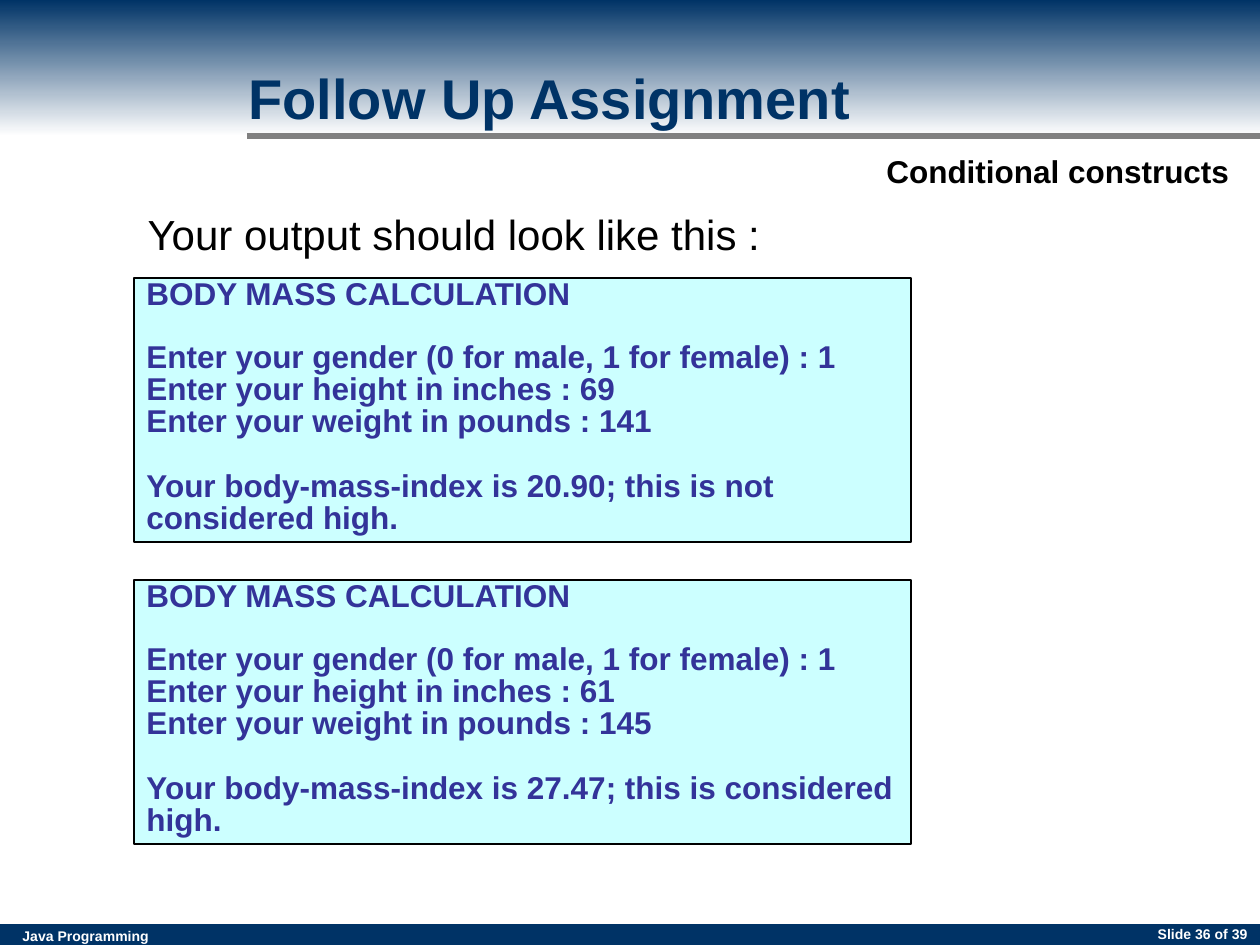
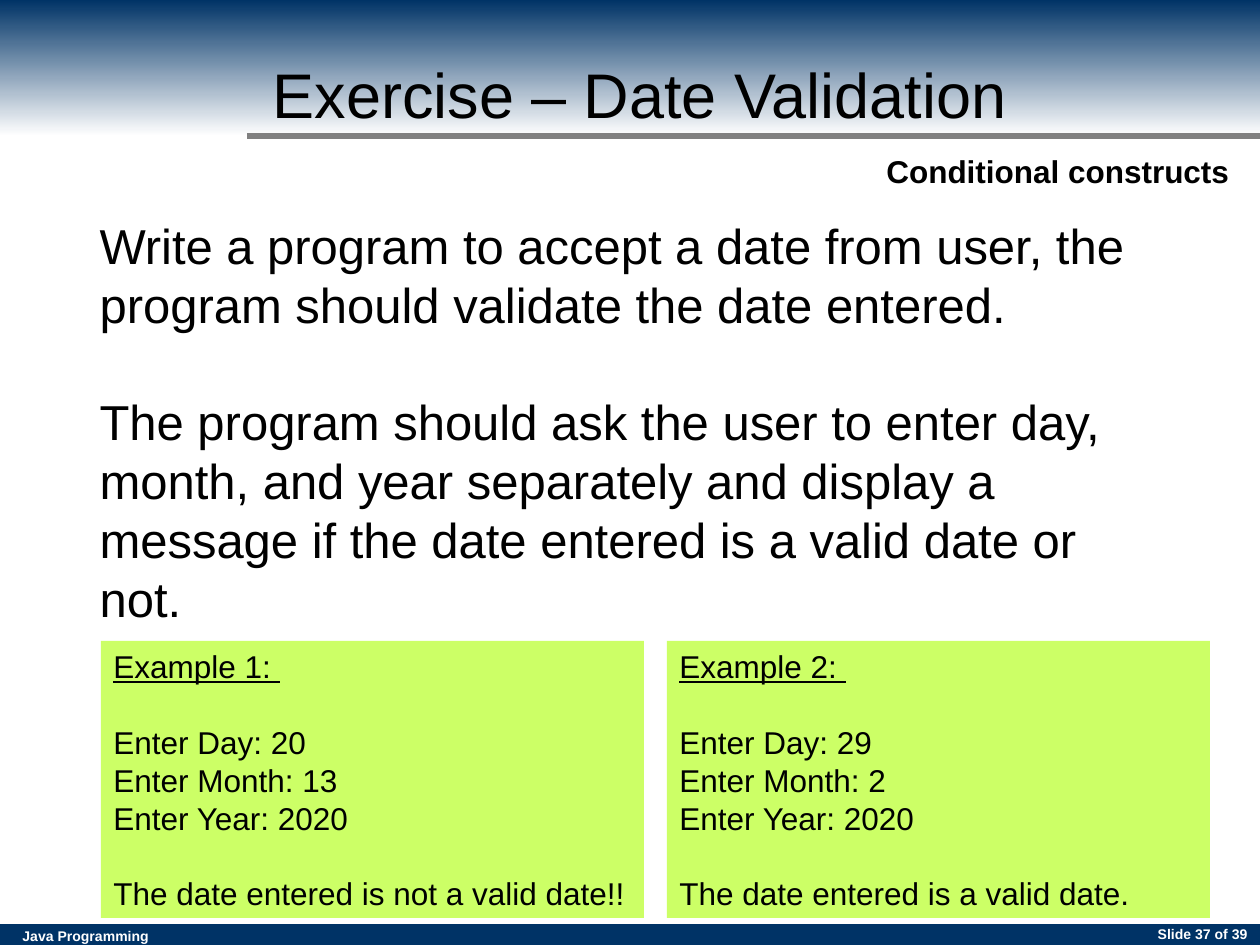
from dataclasses import dataclass

from lxml import etree
from pptx import Presentation
from pptx.dml.color import RGBColor
from pptx.enum.shapes import MSO_CONNECTOR, MSO_SHAPE
from pptx.enum.text import MSO_ANCHOR, MSO_AUTO_SIZE, PP_ALIGN
from pptx.oxml.ns import qn
from pptx.util import Emu, Pt

RECT = MSO_SHAPE.RECTANGLE
STRAIGHT = MSO_CONNECTOR.STRAIGHT
LEFT, RIGHT = PP_ALIGN.LEFT, PP_ALIGN.RIGHT
TOP = MSO_ANCHOR.TOP
NO_AUTOFIT = MSO_AUTO_SIZE.NONE

SLIDE_W, SLIDE_H = 1260, 945
TITLE_AND_CONTENT = 1
SLIDE_COUNT = 39


@dataclass(frozen=True)
class Theme:
    font: str = "Arial"
    navy: str = "003366"
    white: str = "FFFFFF"
    black: str = "000000"
    grey: str = "808080"
    indigo: str = "333399"
    cyan: str = "CCFFFF"
    lime: str = "CCFF66"
    footer: int = 8
    text: int = 18
    prompt: int = 24
    body: int = 28
    title: int = 32
    large_title: int = 36


THEME = Theme()


def px(n):
    return Emu(round(n * 914400 / 126))


def rgb(color):
    return RGBColor.from_string(color)


def place(sp, left, top, width, height):
    sp.left, sp.top, sp.width, sp.height = map(px, (left, top, width, height))


# Text
def write(sp, groups, size, color, bold=False, align=LEFT, wrap=True,
          gap=0, spacing=None):
    """Write groups of lines, with a gap in points between the groups."""
    tf = sp.text_frame
    tf.word_wrap = wrap
    tf.auto_size = NO_AUTOFIT
    tf.vertical_anchor = TOP
    tf.text = "\n".join(line for group in groups for line in group)
    starts = {sum(map(len, groups[:i])) for i in range(1, len(groups))}
    for i, p in enumerate(tf.paragraphs):
        p.alignment = align
        p.space_before = Pt(gap if i in starts else 0)
        if spacing:
            p.line_spacing = spacing
        for r in p.runs:
            r.font.name = THEME.font
            r.font.size = Pt(size)
            r.font.bold = bold
            r.font.color.rgb = rgb(color)
    return tf


def add_label(slide, box, text, size, color, **style):
    sp = slide.shapes.add_textbox(*map(px, box))
    write(sp, [[text]], size, color, bold=True, **style)


def set_title(slide, box, text, size, color, bold=False):
    sp = slide.shapes.title
    place(sp, *box)
    write(sp, [[text]], size, color, bold, wrap=False)


def set_body(slide, box, groups, size, **style):
    sp = slide.placeholders[1]
    place(sp, *box)
    tf = write(sp, groups, size, THEME.black, **style)
    for p in tf.paragraphs:
        pPr = p._p.get_or_add_pPr()
        pPr.set("marL", "0")
        pPr.set("indent", "0")
        etree.SubElement(pPr, qn("a:buNone"))
    return tf


# Shapes
def add_rect(slide, box, fill=None, outline=None):
    sp = slide.shapes.add_shape(RECT, *map(px, box))
    sp.shadow.inherit = False
    if fill:
        sp.fill.solid()
        sp.fill.fore_color.rgb = rgb(fill)
    if outline:
        sp.line.color.rgb = rgb(outline)
        sp.line.width = Pt(0.75)
    else:
        sp.line.fill.background()
    return sp


def add_header_band(slide):
    sp = add_rect(slide, (0, 0, SLIDE_W, 136))
    sp.fill.gradient()
    sp.fill.gradient_angle = 270
    for stop, color in zip(sp.fill.gradient_stops, (THEME.navy, THEME.white)):
        stop.color.rgb = rgb(color)


def add_rule(slide, left, right, y):
    line = slide.shapes.add_connector(STRAIGHT, px(left), px(y), px(right), px(y))
    line.line.color.rgb = rgb(THEME.grey)
    line.line.width = Pt(3)
    etree.SubElement(line.element.spPr, qn("a:effectLst"))


def add_console(slide, top, height, weight, verdict):
    """Sample run of the body mass program."""
    sp = add_rect(slide, (134, top, 777, 264), THEME.cyan, THEME.black)
    groups = [
        ["BODY MASS CALCULATION"],
        ["Enter your gender (0 for male, 1 for female) : 1",
         f"Enter your height in inches : {height}",
         f"Enter your weight in pounds : {weight}"],
        [f"Your body-mass-index is {verdict}"],
    ]
    tf = write(sp, groups, THEME.text, THEME.indigo, bold=True,
               gap=18.4, spacing=0.85)
    heading = tf.paragraphs[0]
    heading.line_spacing = 0.7
    heading.space_before = Pt(11.2)


def add_example(slide, left, number, day, month, verdict):
    """Sample run of the date validation program."""
    sp = add_rect(slide, (left, 641, 543, 277), THEME.lime)
    groups = [
        [f"Example {number}: "],
        [f"Enter Day: {day}", f"Enter Month: {month}", "Enter Year: 2020"],
        [f"The date entered is {verdict}"],
    ]
    tf = write(sp, groups, THEME.text, THEME.black, gap=21.7)
    tf.paragraphs[0].runs[0].font.underline = True


# Slides
def add_slide(prs, number):
    """Slide with the shared bands, rule, section name and footer."""
    slide = prs.slides.add_slide(prs.slide_layouts[TITLE_AND_CONTENT])
    placeholders = list(slide.placeholders)
    add_rect(slide, (0, 924, SLIDE_W, 21), THEME.navy)
    add_label(slide, (10, 921, 159, 30), "Java Programming",
              THEME.footer, THEME.white)
    add_header_band(slide)
    add_rule(slide, 247, SLIDE_W, 136)
    add_label(slide, (874, 146, 368, 50), "Conditional constructs",
              THEME.text, THEME.black, wrap=False)
    add_label(slide, (966, 919, 294, 34), f"Slide {number} of {SLIDE_COUNT}",
              THEME.footer, THEME.white, align=RIGHT)
    # Bring the placeholders in front of the header band
    for sp in placeholders:
        sp.element.getparent().append(sp.element)
    return slide


def build_assignment(prs):
    slide = add_slide(prs, 36)
    set_title(slide, (236, 57, 629, 80), "Follow Up Assignment",
              THEME.title, THEME.navy, bold=True)
    tf = set_body(slide, (135, 202, 664, 63),
                  [["Your output should look like this :"]],
                  THEME.prompt, wrap=False)
    tf.paragraphs[0].space_before = Pt(3)
    runs = [(69, 141, "20.90; this is not considered high."),
            (61, 145, "27.47; this is considered high.")]
    for i, run in enumerate(runs):
        add_console(slide, 278 + i * 302, *run)


def build_exercise(prs):
    slide = add_slide(prs, 37)
    set_title(slide, (260, 49, 763, 88), "Exercise – Date Validation",
              THEME.large_title, THEME.black)
    task = [
        ["Write a program to accept a date from user, the program should "
         "validate the date entered."],
        ["The program should ask the user to enter day, month, and year "
         "separately and display a message if the date entered is a valid "
         "date or not."],
    ]
    set_body(slide, (87, 209, 1085, 543), task, THEME.body, gap=33.7)
    examples = [(20, 13, "not a valid date!!"), (29, 2, "a valid date.")]
    for i, example in enumerate(examples):
        add_example(slide, 101 + i * 566, i + 1, *example)


def main():
    prs = Presentation()
    prs.slide_width, prs.slide_height = px(SLIDE_W), px(SLIDE_H)
    build_assignment(prs)
    build_exercise(prs)
    prs.save("out.pptx")


if __name__ == "__main__":
    main()
